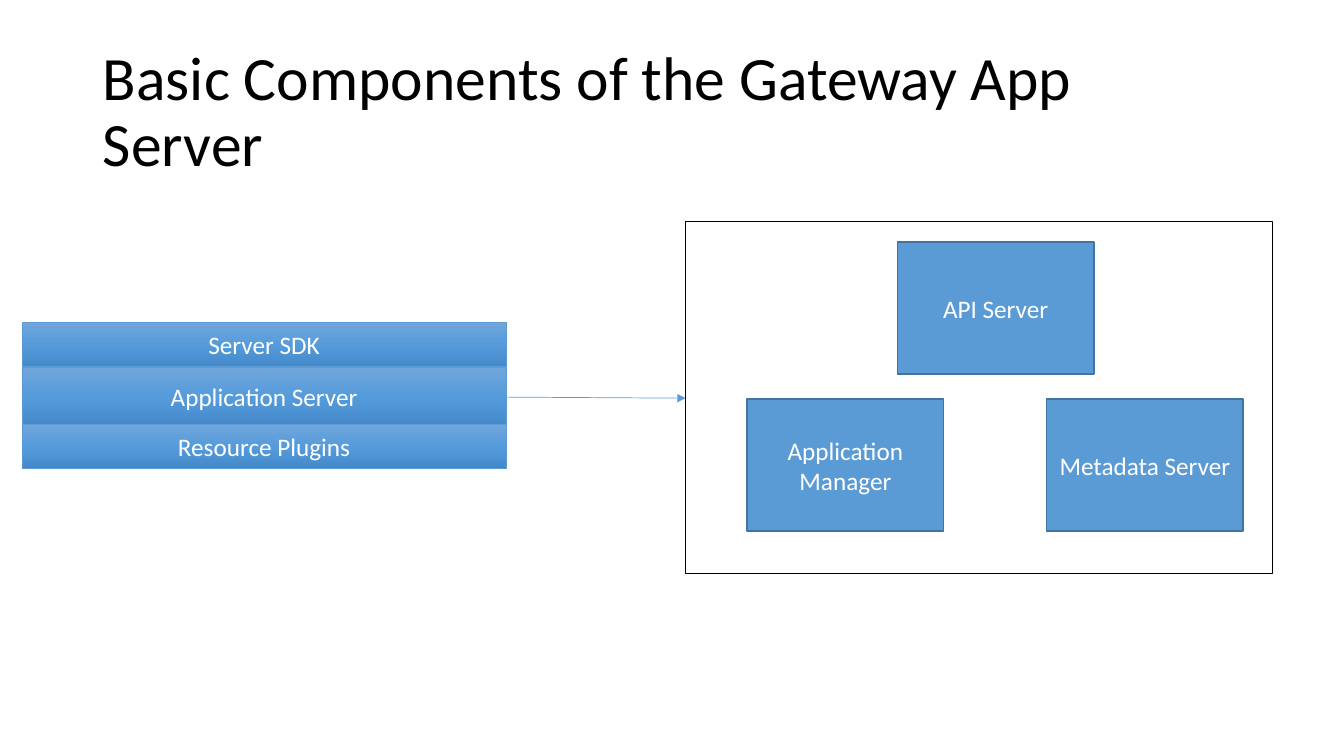
from copy import deepcopy
from dataclasses import dataclass

from lxml import etree
from pptx import Presentation
from pptx.dml.color import RGBColor
from pptx.enum.shapes import MSO_CONNECTOR, MSO_SHAPE
from pptx.enum.text import MSO_ANCHOR, MSO_AUTO_SIZE, PP_ALIGN
from pptx.oxml.ns import qn
from pptx.shapes.autoshape import Shape
from pptx.slide import Slide
from pptx.text.text import TextFrame
from pptx.util import Inches, Pt

FONT = "Calibri"
BLUE, DARK_BLUE, BLACK, WHITE = "5B9BD5", "43739E", "000000", "FFFFFF"
LAYER_GRADIENT = [(0, "71A6DB"), (0.5, "559BDB"), (1, "448ACA")]
LAYER_LEFT, LAYER_WIDTH = 0.22, 4.8
SERVER_WIDTH, SERVER_HEIGHT = 1.95, 1.31
LOWER_ROW = 3.96


@dataclass
class Layer:
    label: str
    top: float
    height: float


@dataclass
class Server:
    label: str
    left: float
    top: float


LAYERS = [
    Layer("Application Server", 3.64, 0.59),
    Layer("Server SDK", 3.2, 0.44),
    Layer("Resource Plugins", 4.21, 0.44),
]
SERVERS = [
    Server("API Server", 8.9, 2.4),
    Server("Application Manager", 7.41, LOWER_ROW),
    Server("Metadata Server", 10.38, LOWER_ROW),
]


def color(value: str) -> RGBColor:
    return RGBColor.from_string(value)


def write(frame: TextFrame, text: str, size: float, ink: str, align: PP_ALIGN) -> None:
    frame.word_wrap = True
    frame.vertical_anchor = MSO_ANCHOR.MIDDLE
    para = frame.paragraphs[0]
    para.alignment = align
    span = para.add_run()
    span.text = text
    span.font.name = FONT
    span.font.size = Pt(size)
    span.font.color.rgb = color(ink)


def add_box(page: Slide, left: float, top: float, width: float, height: float,
            line: str, weight: float, label: str = "") -> Shape:
    box = page.shapes.add_shape(MSO_SHAPE.RECTANGLE, Inches(left), Inches(top),
                                Inches(width), Inches(height))
    box.shadow.inherit = False
    box.line.color.rgb = color(line)
    box.line.width = Pt(weight)
    if label:
        write(box.text_frame, label, 18, WHITE, PP_ALIGN.CENTER)
    return box


def shade(box: Shape) -> None:
    """Fill a box with the layer gradient, running from top to bottom."""
    box.fill.gradient()
    box.fill.gradient_angle = 270
    stop_list = box.element.spPr.find(f".//{qn('a:gsLst')}")
    stop_list.append(deepcopy(stop_list[-1]))
    for stop, (position, value) in zip(box.fill.gradient_stops, LAYER_GRADIENT):
        stop.position = position
        stop.color.rgb = color(value)


def add_arrow(page: Slide, start: tuple[float, float], end: tuple[float, float]) -> None:
    arrow = page.shapes.add_connector(MSO_CONNECTOR.STRAIGHT,
                                      *map(Inches, start), *map(Inches, end))
    arrow.line.color.rgb = color(BLUE)
    arrow.line.width = Pt(0.5)
    properties = arrow.element.spPr
    etree.SubElement(properties.find(qn("a:ln")), qn("a:tailEnd"), type="triangle")
    etree.SubElement(properties, qn("a:effectLst"))


def main() -> None:
    deck = Presentation()
    deck.slide_width, deck.slide_height = Inches(13.33), Inches(7.5)
    page = deck.slides.add_slide(deck.slide_layouts[5])

    # Title
    title = page.shapes.title
    title.left, title.top = Inches(0.92), Inches(0.4)
    title.width, title.height = Inches(11.5), Inches(1.45)
    title.text_frame.auto_size = MSO_AUTO_SIZE.NONE
    write(title.text_frame, "Basic Components of the Gateway App Server", 44, BLACK,
          PP_ALIGN.LEFT)
    title.text_frame.paragraphs[0].line_spacing = 0.9

    # Layers of the application server
    for layer in LAYERS:
        shade(add_box(page, LAYER_LEFT, layer.top, LAYER_WIDTH, layer.height,
                      BLUE, 0.5, layer.label))

    # Gateway servers inside their frame
    for server in SERVERS:
        box = add_box(page, server.left, server.top, SERVER_WIDTH, SERVER_HEIGHT,
                      DARK_BLUE, 1, server.label)
        box.fill.solid()
        box.fill.fore_color.rgb = color(BLUE)
    add_box(page, 6.8, 2.2, 5.82, 3.49, BLACK, 1).fill.background()

    # Link from the layers to the servers
    add_arrow(page, (5.03, 3.94), (6.8, 3.95))

    deck.save("out.pptx")


if __name__ == "__main__":
    main()
